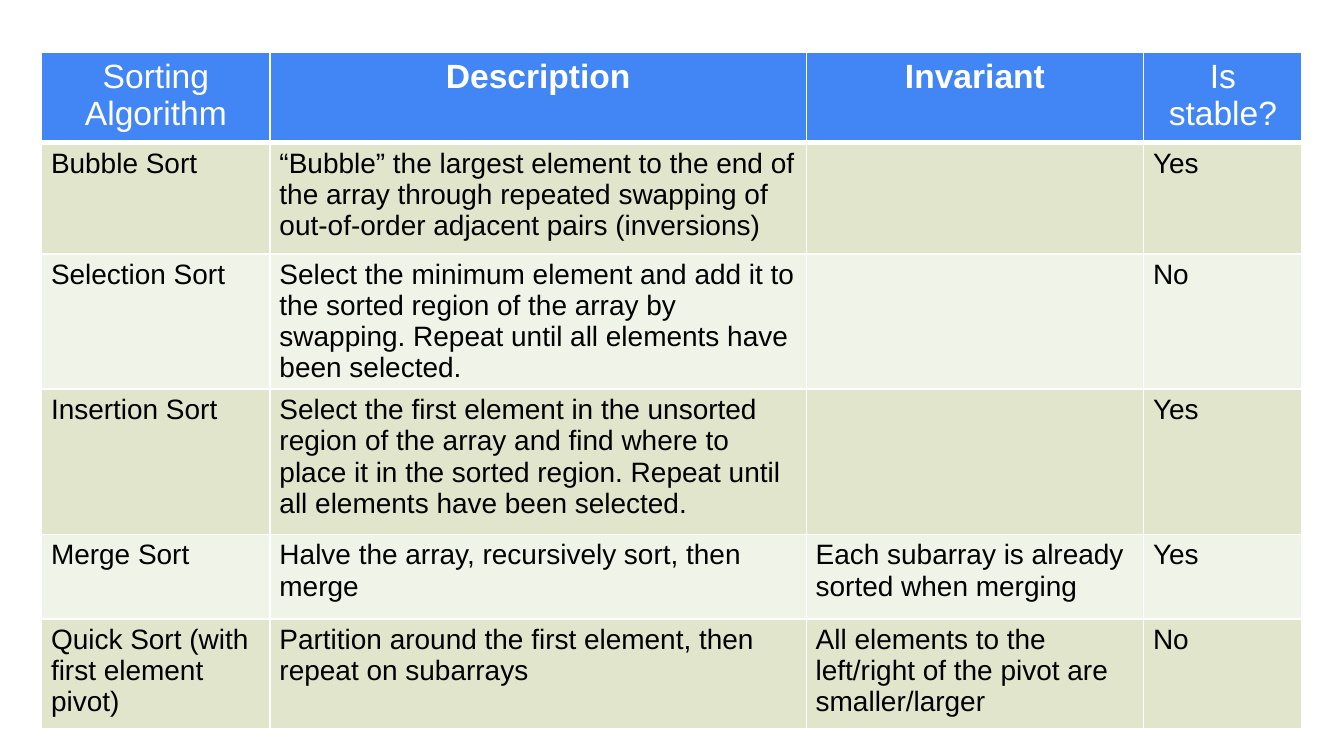
from lxml import etree
from pptx import Presentation
from pptx.dml.color import RGBColor
from pptx.enum import text
from pptx.oxml import ns
from pptx.util import Inches, Pt

WHITE = RGBColor(0xFF, 0xFF, 0xFF)
BLACK = RGBColor(0, 0, 0)
BLUE = RGBColor(0x42, 0x85, 0xF4)
BANDS = [RGBColor(0xE0, 0xE5, 0xCB), RGBColor(0xF0, 0xF3, 0xE7)]

COLS = [1.7, 3.99, 2.51, 1.18]
ROWS = [0.67, 0.83, 1.0, 1.08, 0.63, 0.82]
HEAD = ["Sorting Algorithm", "Description", "Invariant", "Is stable?"]
BOLD = {"Description", "Invariant"}
SORTS = [
    ["Bubble Sort",
     "“Bubble” the largest element to the end of the array through repeated "
     "swapping of out-of-order adjacent pairs (inversions)", "", "Yes"],
    ["Selection Sort",
     "Select the minimum element and add it to the sorted region of the array "
     "by swapping. Repeat until all elements have been selected.", "", "No"],
    ["Insertion Sort",
     "Select the first element in the unsorted region of the array and find "
     "where to place it in the sorted region. Repeat until all elements have "
     "been selected.", "", "Yes"],
    ["Merge Sort", "Halve the array, recursively sort, then merge",
     "Each subarray is already sorted when merging", "Yes"],
    ["Quick Sort (with first element pivot)",
     "Partition around the first element, then repeat on subarrays",
     "All elements to the left/right of the pivot are smaller/larger", "No"],
]


class Deck:
    font = "Arial"

    def __init__(self, slide):
        self.slide = slide

    def edge(self, cell, side, width):
        props = cell._tc.get_or_add_tcPr()
        line = etree.SubElement(props, ns.qn(f"a:ln{side}"), w=str(Pt(width)))
        fill = etree.SubElement(line, ns.qn("a:solidFill"))
        etree.SubElement(fill, ns.qn("a:srgbClr"), val=str(WHITE))

    def cell(self, cell, words, fill, color, size, bold, align, top, base):
        # Borders come before the fill in the cell properties
        for side, width in zip("LRTB", (1, 1, top, base)):
            self.edge(cell, side, width)
        cell.fill.solid()
        cell.fill.fore_color.rgb = fill
        cell.margin_left = cell.margin_right = Inches(0.07)
        cell.margin_top = cell.margin_bottom = Inches(0.04)
        cell.text_frame.text = words
        para = cell.text_frame.paragraphs[0]
        para.alignment = align
        for font in [para.font] + [run.font for run in para.runs]:
            font.name, font.size, font.bold = self.font, Pt(size), bold
            font.color.rgb = color

    def table(self, left, top, cols, rows):
        frame = self.slide.shapes.add_table(
            len(rows), len(cols), Inches(left), Inches(top),
            Inches(sum(cols)), Inches(sum(rows)))
        grid = frame.table
        for col, width in zip(grid.columns, cols):
            col.width = Inches(width)
        for row, height in zip(grid.rows, rows):
            row.height = Inches(height)
        return grid


def main():
    # Widescreen page, 16 to 9
    prs = Presentation()
    prs.slide_width = Inches(10)
    prs.slide_height = Inches(10 * 9 / 16)
    deck = Deck(prs.slides.add_slide(prs.slide_layouts[6]))
    grid = deck.table(0.31, 0.39, COLS, ROWS)

    # Header row
    for c, words in enumerate(HEAD):
        deck.cell(grid.cell(0, c), words, BLUE, WHITE, 18, words in BOLD,
                  text.PP_ALIGN.CENTER, 1, 3)

    # One banded row per algorithm, the first under the thick header rule
    for r, sort in enumerate(SORTS):
        for c, words in enumerate(sort):
            deck.cell(grid.cell(r + 1, c), words, BANDS[r % 2], BLACK, 15,
                      False, text.PP_ALIGN.LEFT, 1 if r else 3, 1)

    prs.save("out.pptx")


if __name__ == "__main__":
    main()
